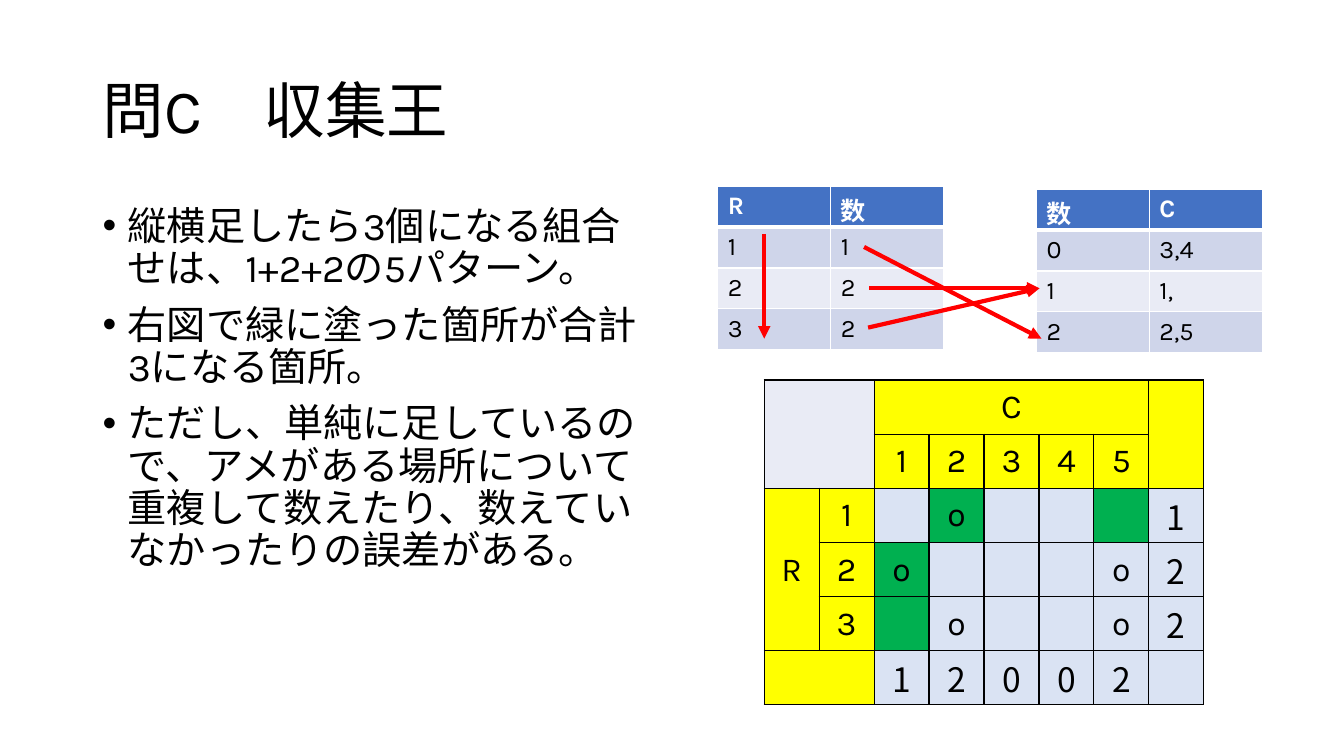
"""Build the slide on counting row and column totals that add up to three."""
from lxml.etree import SubElement as Sub
from pptx import Presentation
from pptx.dml.color import RGBColor as RGB
from pptx.enum.shapes import MSO_CONNECTOR as Kind
from pptx.enum.text import MSO_ANCHOR as Anchor, PP_ALIGN as Align
from pptx.oxml import parse_xml
from pptx.oxml.ns import nsdecls, qn
from pptx.util import Inches, Pt

HEX = {"black": "000000", "white": "FFFFFF", "red": "FF0000", "head": "4472C4",
       "band": "CFD5EA", "pale": "E9EBF5", "yellow": "FFFF00",
       "green": "00B050", "blue": "DAE3F3"}
LATIN, KANJI = "Karla", "Noto Sans CJK JP"

TITLE = "問C　収集王"
POINTS = [
    "縦横足したら3個になる組合せは、1+2+2の5パターン。",
    "右図で緑に塗った箇所が合計3になる箇所。",
    "ただし、単純に足しているので、アメがある場所について"
    "重複して数えたり、数えていなかったりの誤差がある。",
]
LISTS = [
    (7.12, 1.85, [("R", "数"), ("1", "1"), ("2", "2"), ("3", "2")]),
    (10.28, 1.88, [("数", "C"), ("0", "3,4"), ("1", "1,"), ("2", "2,5")]),
]
ARROWS = [
    (8.61, 3.25, 10.31, 2.86),
    (7.58, 2.32, 7.58, 3.36),
    (8.57, 2.45, 10.33, 3.36),
    (8.62, 2.86, 10.31, 2.86),
]
GRID = ["  C     ", "  12345 ", "R1 o   1", " 2o   o2", " 3 o  o2", "  12002 "]
FILLS = ["ppyyyyyy", "ppyyyyyy", "yybgbbgb", "yygbbbbb", "yygbbbbb", "yybbbbbb"]
CODES = {"p": "pale", "y": "yellow", "b": "blue", "g": "green"}
SPANS = [(0, 0, 1, 1), (0, 2, 0, 6), (0, 7, 1, 7), (2, 0, 4, 0), (5, 0, 5, 1)]


def style(par, size, color="black", face=LATIN, bold=False):
    font = par.font
    font.size, font.name, font.bold = Pt(size), face, bold
    font.color.rgb = RGB.from_string(HEX[color])
    base = par._p.pPr.find(qn("a:defRPr"))
    Sub(base, qn("a:ea")).set("typeface", KANJI)
    return base


def write(slide, box, texts, size, anchor, bullet=False):
    frame = slide.shapes.add_textbox(*map(Inches, box)).text_frame
    frame.word_wrap, frame.vertical_anchor = True, anchor
    frame.text = "\n".join(texts)
    for par in frame.paragraphs:
        par.line_spacing = 0.9
        base = style(par, size)
        if bullet:
            par.space_before = Pt(10)
            props = par._p.pPr
            props.set("marL", str(Inches(0.25)))
            props.set("indent", str(-Inches(0.25)))
            base.addprevious(parse_xml(f'<a:buFont {nsdecls("a")} typeface="Arial"/>'))
            base.addprevious(parse_xml(f'<a:buChar {nsdecls("a")} char="•"/>'))


def table(slide, rows, cols, box):
    tab = slide.shapes.add_table(rows, cols, *map(Inches, box)).table
    tab.first_row = tab.horz_banding = False
    return tab


def paint(cell, fill, line, foot=1):
    cell.fill.solid()
    cell.fill.fore_color.rgb = RGB.from_string(HEX[fill])
    for spot, side in enumerate("LRTB"):
        width = Pt(foot if side == "B" else 1)
        cell._tc.tcPr.insert(spot, parse_xml(
            f'<a:ln{side} {nsdecls("a")} w="{width}"><a:solidFill>'
            f'<a:srgbClr val="{HEX[line]}"/></a:solidFill></a:ln{side}>'))


def pairs(slide, left, top, rows):
    tab = table(slide, len(rows), 2, (left, top, 2.24, 1.62))
    for r, row in enumerate(rows):
        fill = "head" if r == 0 else "band" if r % 2 else "pale"
        for c, text in enumerate(row):
            cell = tab.cell(r, c)
            cell.text = text
            style(cell.text_frame.paragraphs[0], 18,
                  "black" if r else "white", bold=r == 0)
            paint(cell, fill, "white", 1 if r else 3)


def arrow(slide, ends):
    link = slide.shapes.add_connector(Kind.STRAIGHT, *map(Inches, ends))
    link.line.color.rgb = RGB.from_string(HEX["red"])
    link.line.width = Pt(3)
    Sub(link.line._get_or_add_ln(), qn("a:tailEnd")).set("type", "triangle")
    Sub(link._element.spPr, qn("a:effectLst"))


def matrix(slide):
    tab = table(slide, len(GRID), len(GRID[0]), (7.58, 3.77, 4.36, 3.22))
    for r, (row, codes) in enumerate(zip(GRID, FILLS)):
        for c, (mark, code) in enumerate(zip(row, codes)):
            cell = tab.cell(r, c)
            paint(cell, CODES[code], "black")
            if mark == " ":
                continue
            cell.text, cell.vertical_anchor = mark, Anchor.MIDDLE
            cell.margin_left = cell.margin_right = cell.margin_top = Inches(0.01)
            cell.margin_bottom = 0
            par = cell.text_frame.paragraphs[0]
            par.alignment = Align.CENTER
            total = r == len(GRID) - 1 or c == len(row) - 1
            style(par, 24, face=KANJI if total else LATIN)
    for top, left, low, right in SPANS:
        tab.cell(top, left).merge(tab.cell(low, right))


deck = Presentation()
deck.slide_width, deck.slide_height = Inches(13.33), Inches(7.5)
page = deck.slides.add_slide(deck.slide_layouts[6])
write(page, (0.92, 0.4, 11.5, 1.45), [TITLE], 44, Anchor.MIDDLE)
write(page, (0.92, 2, 5.67, 4.76), POINTS, 28, Anchor.TOP, bullet=True)
for item in LISTS:
    pairs(page, *item)
for ends in ARROWS:
    arrow(page, ends)
matrix(page)
deck.save("out.pptx")
